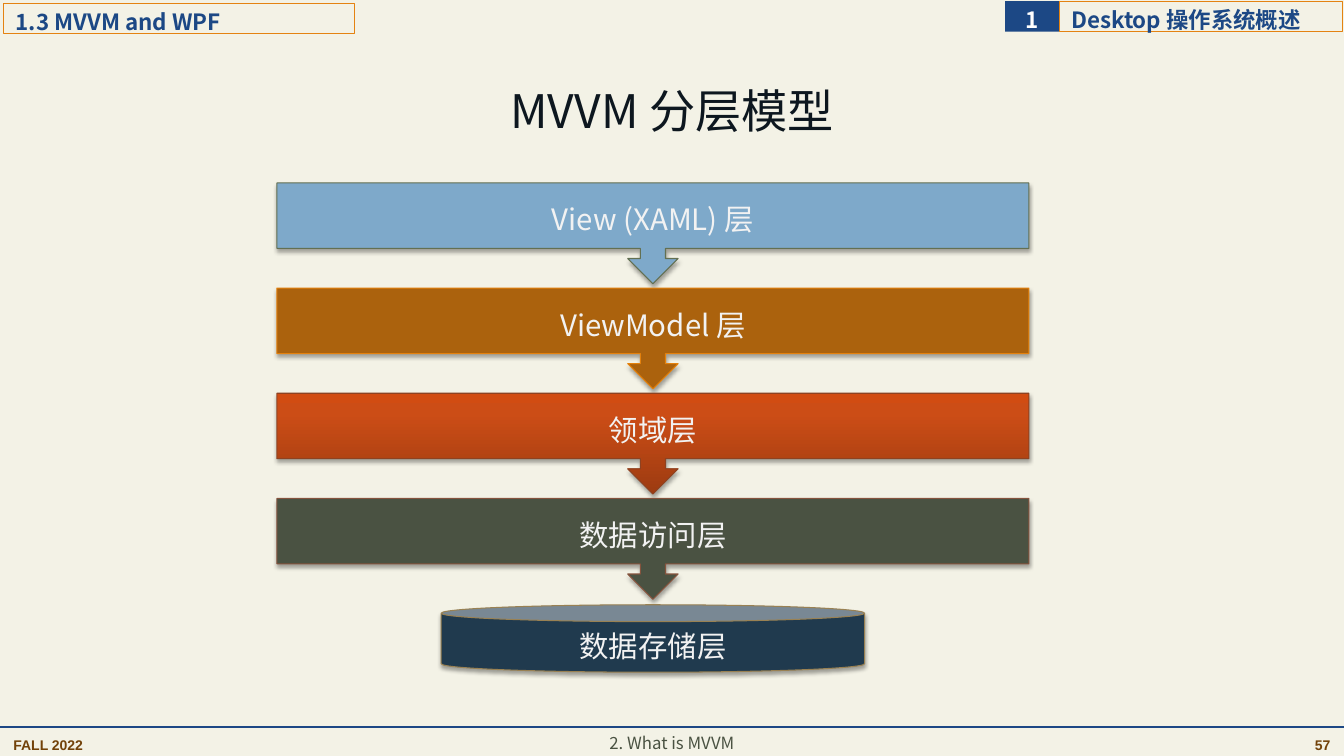
from dataclasses import dataclass

from lxml.etree import SubElement
from pptx import Presentation
from pptx.dml.color import RGBColor
from pptx.enum.shapes import MSO_CONNECTOR, MSO_SHAPE
from pptx.enum.text import MSO_ANCHOR, PP_ALIGN
from pptx.oxml.ns import qn
from pptx.util import Cm, Pt

COLORS = {
    "background": "F3F2E6",
    "navy": "1C4885",
    "orange": "E48312",
    "brown": "724209",
    "olive": "4A5242",
    "title": "0D171F",
    "white": "FFFFFF",
    "layer text": "F2F2F2",
    "shadow": "000000",
}
LAYERS = [
    ("View (XAML) 层", ["7EA9CA"], "637052"),
    ("ViewModel 层", ["AB620D"], "E4810C"),
    ("领域层", ["9D3B11", "CC4D16", "D14C12"], "8E4221"),
    ("数据访问层", ["4A5242"], "85533D"),
]
STORAGE = ("数据存储层", ["203A4E"], "998153")
GRADIENT_POSITIONS = [0, 80, 100]
CJK_FONT = "Noto Sans CJK SC"


@dataclass
class Box:
    left: float
    top: float
    width: float
    height: float

    def lengths(self):
        return Cm(self.left), Cm(self.top), Cm(self.width), Cm(self.height)


def write_text(shape, text, size, color, align=PP_ALIGN.LEFT, bold=False,
               font=CJK_FONT, spacing=1.2, anchor=MSO_ANCHOR.MIDDLE,
               insets=(0.25, 0.13, 0.25, 0.13)):
    frame = shape.text_frame
    frame.word_wrap = True
    frame.vertical_anchor = anchor
    frame.margin_left, frame.margin_top, frame.margin_right, frame.margin_bottom = map(Cm, insets)
    para = frame.paragraphs[0]
    para.text = text
    para.alignment = align
    para.line_spacing = spacing
    para.font.size = Pt(size)
    para.font.bold = bold
    para.font.color.rgb = RGBColor.from_string(color)
    para.font.name = font
    properties = para._p.pPr.find(qn("a:defRPr"))
    SubElement(properties, qn("a:ea")).set("typeface", font)


def fill_gradient(shape, colors):
    shape.fill.gradient()
    shape.fill.gradient_angle = 90
    stops = shape._element.spPr.find(qn("a:gradFill")).find(qn("a:gsLst"))
    for stop in list(stops):
        stops.remove(stop)
    for position, color in zip(GRADIENT_POSITIONS, colors):
        stop = SubElement(stops, qn("a:gs"), pos=str(position * 1000))
        SubElement(stop, qn("a:srgbClr"), val=color)


def add_panel(page, kind, box, fills=(), line=None):
    shape = page.shapes.add_shape(kind, *box.lengths())
    shape.shadow.inherit = False
    if len(fills) > 1:
        fill_gradient(shape, fills)
    elif fills:
        shape.fill.solid()
        shape.fill.fore_color.rgb = RGBColor.from_string(fills[0])
    else:
        shape.fill.background()
    if line:
        shape.line.color.rgb = RGBColor.from_string(line)
        shape.line.width = Pt(0.75)
    else:
        shape.line.fill.background()
    return shape


def add_shadow(shape):
    effects = shape._element.spPr.find(qn("a:effectLst"))
    shadow = SubElement(effects, qn("a:outerShdw"), blurRad=str(Pt(3.1)),
                        dist=str(Pt(1.8)), dir="5400000", rotWithShape="0")
    color = SubElement(shadow, qn("a:srgbClr"), val=COLORS["shadow"])
    SubElement(color, qn("a:alpha"), val="35000")


def add_label(page, box, text):
    label = add_panel(page, MSO_SHAPE.RECTANGLE, box, line=COLORS["orange"])
    write_text(label, text, 16, COLORS["navy"], bold=True, insets=(0.3, 0, 0, 0))


def add_chapter(page, box, number, text):
    number_width = 1.37
    badge = add_panel(page, MSO_SHAPE.RECTANGLE,
                      Box(box.left, box.top, number_width, box.height), [COLORS["navy"]])
    write_text(badge, number, 16, COLORS["white"], PP_ALIGN.CENTER, True, insets=(0, 0, 0, 0))
    add_label(page, Box(box.left + number_width, box.top,
                        box.width - number_width, box.height), text)


def add_title(page, box, text):
    title = page.shapes.title
    title.left, title.top, title.width, title.height = box.lengths()
    write_text(title, text, 33, COLORS["title"], PP_ALIGN.CENTER,
               spacing=0.9, insets=(0.2, 0.1, 0.2, 0.1))


def add_layer(page, kind, box, layer):
    text, fills, line = layer
    shape = add_panel(page, kind, box, fills, line)
    add_shadow(shape)
    write_text(shape, text, 21, COLORS["layer text"], PP_ALIGN.CENTER)


def add_layer_stack(page, box):
    pitch = 2.65
    for index, layer in enumerate(LAYERS):
        add_layer(page, MSO_SHAPE.DOWN_ARROW_CALLOUT,
                  Box(box.left, box.top + index * pitch, box.width, 2.54), layer)
    can_width, can_height = 10.67, 1.7
    add_layer(page, MSO_SHAPE.CAN,
              Box(box.left + (box.width - can_width) / 2,
                  box.top + box.height - can_height, can_width, can_height), STORAGE)


def add_footer(page, box, date, topic, number):
    rule = page.shapes.add_connector(
        MSO_CONNECTOR.STRAIGHT, Cm(box.left), Cm(box.top),
        Cm(box.left + box.width), Cm(box.top))
    rule.line.color.rgb = RGBColor.from_string(COLORS["navy"])
    rule.line.width = Pt(1.25)
    SubElement(rule._element.spPr, qn("a:effectLst"))

    side_width, topic_width, margin = 7.06, 25.4, 0.09
    right = box.left + box.width - side_width - margin
    for left, text, align in [(box.left + margin, date, PP_ALIGN.LEFT),
                              (right, number, PP_ALIGN.RIGHT)]:
        side = page.shapes.add_textbox(*Box(left, box.top + 0.03, side_width, 0.7).lengths())
        write_text(side, text, 10, COLORS["brown"], align, True, "Arial", anchor=MSO_ANCHOR.TOP)
    middle = page.shapes.add_textbox(
        *Box(box.left + (box.width - topic_width) / 2, box.top - 0.07, topic_width, 0.81).lengths())
    write_text(middle, topic, 12, COLORS["olive"], PP_ALIGN.CENTER, anchor=MSO_ANCHOR.TOP)


def main():
    deck = Presentation()
    deck.slide_width, deck.slide_height = Cm(33.87), Cm(19.05)
    page = deck.slides.add_slide(deck.slide_layouts[5])
    page.background.fill.solid()
    page.background.fill.fore_color.rgb = RGBColor.from_string(COLORS["background"])

    add_label(page, Box(0.1, 0.08, 8.84, 0.77), "1.3 MVVM and WPF")
    add_chapter(page, Box(25.33, 0.03, 8.5, 0.77), "1", "Desktop 操作系统概述")
    add_title(page, Box(2.33, 1.02, 29.21, 3.68), "MVVM 分层模型")
    add_layer_stack(page, Box(6.98, 4.61, 18.95, 12.33))
    add_footer(page, Box(0, 18.31, 33.87, 0.74), "FALL 2022", "2. What is MVVM", "57")
    deck.save("out.pptx")


if __name__ == "__main__":
    main()
